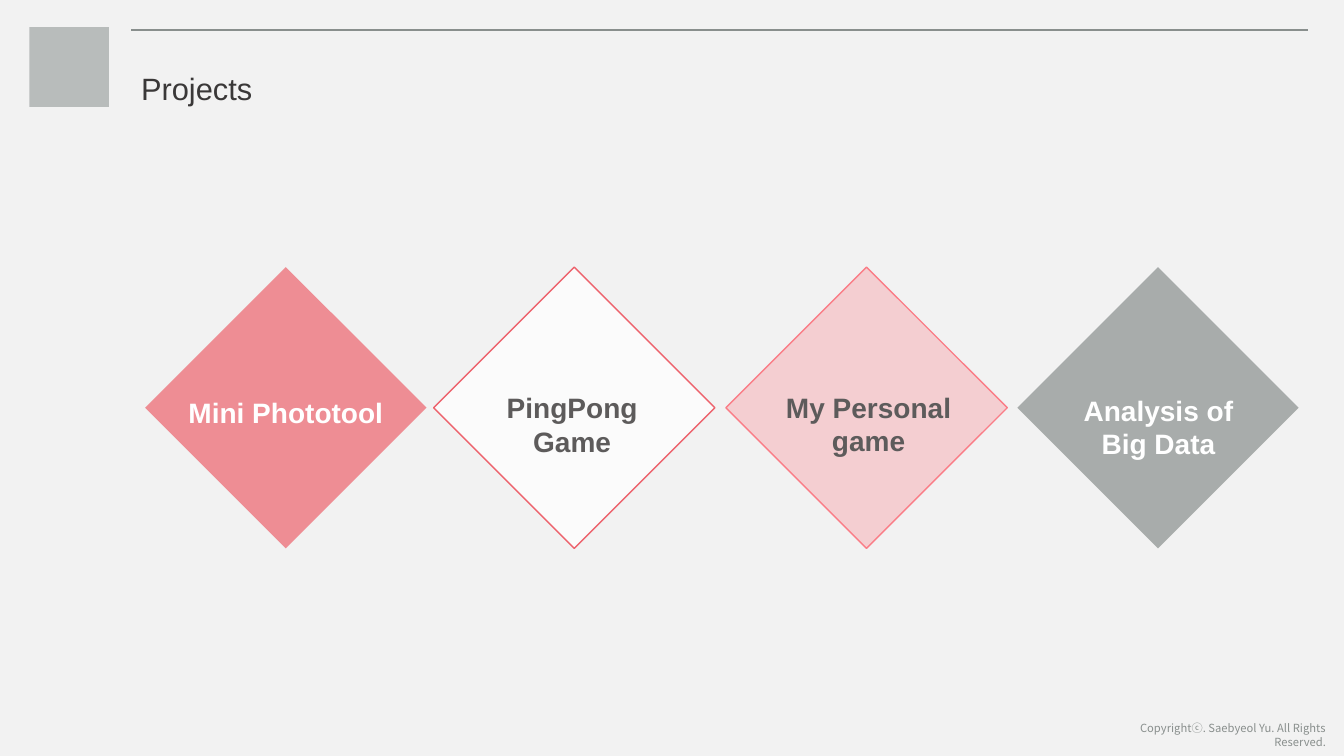
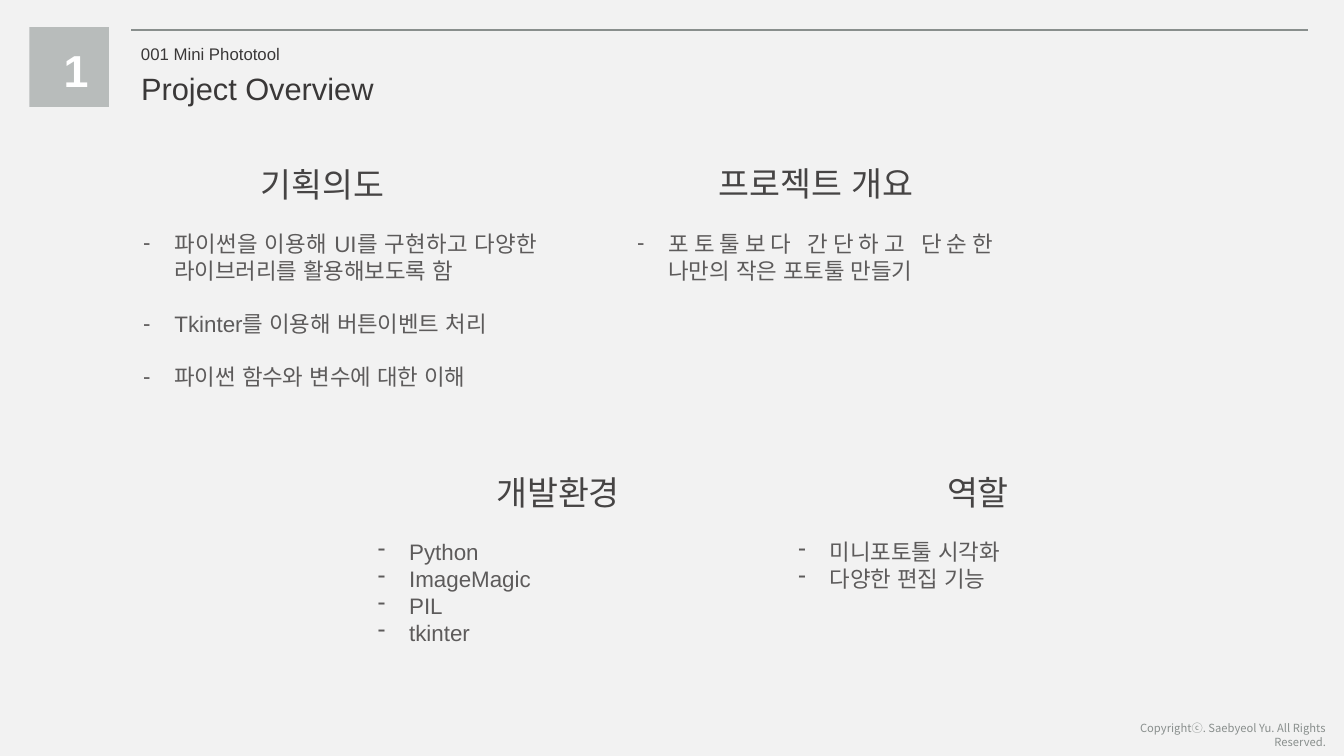
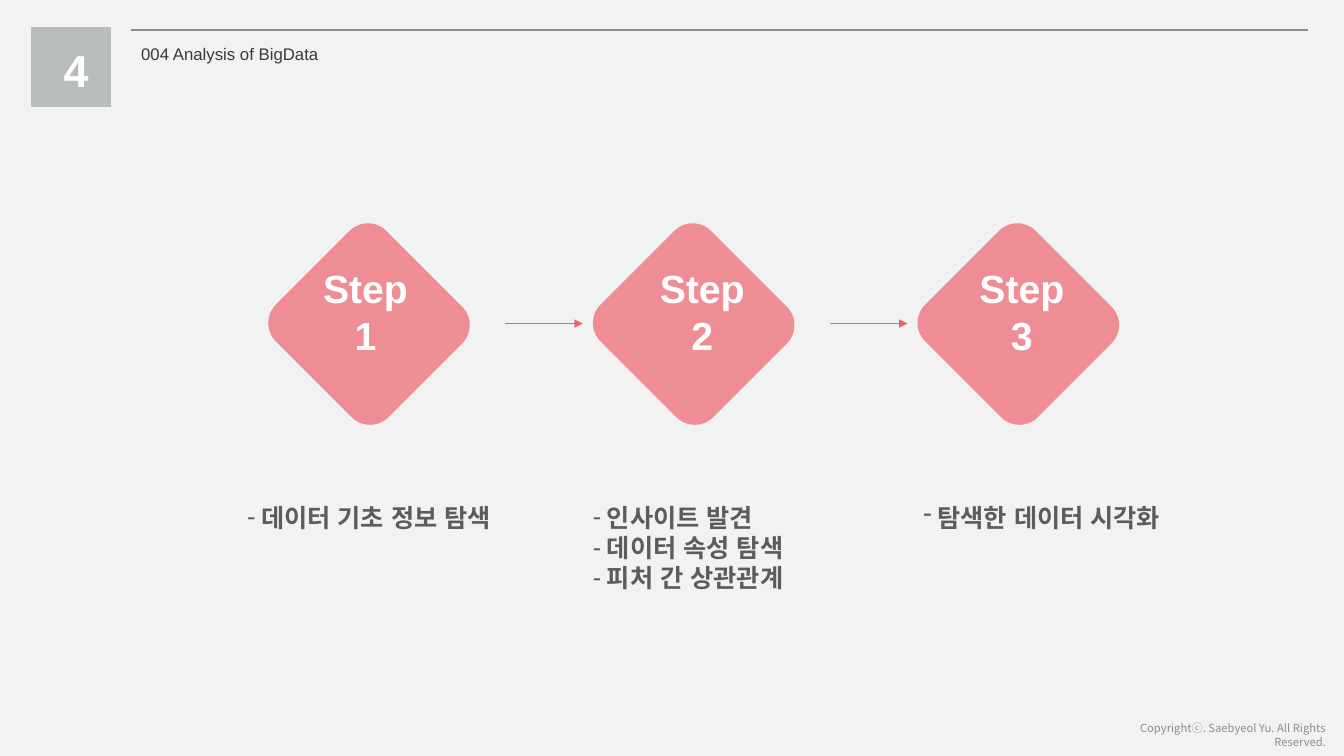
from dataclasses import dataclass
from typing import Iterator, Optional

from lxml import etree
from pptx import Presentation
from pptx.dml.color import RGBColor
from pptx.enum.shapes import MSO_CONNECTOR, MSO_SHAPE
from pptx.enum.text import MSO_ANCHOR, MSO_AUTO_SIZE, PP_ALIGN
from pptx.oxml.ns import qn
from pptx.util import Inches, Pt

LEFT, CENTER, RIGHT, JUSTIFY = (
    PP_ALIGN.LEFT, PP_ALIGN.CENTER, PP_ALIGN.RIGHT, PP_ALIGN.JUSTIFY)
TOP = MSO_ANCHOR.TOP
NO_AUTOFIT = MSO_AUTO_SIZE.NONE
DIAMOND, ROUNDED, RECTANGLE = (
    MSO_SHAPE.DIAMOND, MSO_SHAPE.ROUNDED_RECTANGLE, MSO_SHAPE.RECTANGLE)
STRAIGHT = MSO_CONNECTOR.STRAIGHT

COLORS = {
    "background": "F2F2F2",
    "title": "3A3838",
    "heading": "464444",
    "body": "5D5B5B",
    "gray": "898F8D",
    "badge": "B8BCBB",
    "red": "ED636D",
    "pink": "FA7D87",
    "white": "FFFFFF",
}
FONT = "Arial"
FOOTER_FONT = "Noto Sans CJK KR"
LINE_PITCH = 1.2
TITLE_ONLY, TWO_CONTENT, COMPARISON = 5, 3, 4


@dataclass(frozen=True)
class Box:
    left: float
    top: float
    width: float
    height: float


@dataclass(frozen=True)
class TextStyle:
    size: int
    color: str
    bold: bool = False
    align: PP_ALIGN = LEFT
    font: str = FONT
    wrap: bool = True
    dash_indent: float = 0
    gap: float = 0


@dataclass(frozen=True)
class Project:
    name: str
    diamond_left: float
    label: Box
    fill: str
    opacity: int
    text_color: str
    outline: Optional[str] = None


@dataclass(frozen=True)
class Section:
    heading: str
    heading_box: Box
    items: tuple[str, ...]
    items_box: Box
    gap: float = 0


@dataclass(frozen=True)
class Step:
    label_left: float
    tasks: tuple[str, ...]
    tasks_box: Box


# Shared text styles
TITLE = TextStyle(22, "title")
KICKER = TextStyle(12, "title")
NUMBER = TextStyle(32, "white", bold=True, align=CENTER, wrap=False)
FOOTER = TextStyle(8, "gray", align=RIGHT, font=FOOTER_FONT)
HEADING = TextStyle(24, "heading", align=CENTER, wrap=False)
STEP_LABEL = TextStyle(28, "white", bold=True, align=CENTER)
STEP_TASKS = TextStyle(18, "body", bold=True, align=JUSTIFY, dash_indent=0.14)

TITLE_BOX = Box(1.3, 0.64, 8, 0.47)
KICKER_BOX = Box(1.3, 0.38, 8, 0.3)

# Content
PROJECTS = (
    Project("Mini Phototool", 1.44, Box(1.68, 3.87, 2.31, 0.44), "red", 70, "white"),
    Project("PingPong\nGame", 4.3, Box(4.92, 3.83, 1.51, 0.77), "white", 70,
            "body", "red"),
    Project("My Personal\ngame", 7.2, Box(7.69, 3.82, 1.85, 0.77), "pink", 30,
            "body", "pink"),
    Project("Analysis of\nBig Data", 10.09, Box(10.64, 3.85, 1.7, 0.77), "gray", 70,
            "white"),
)
SECTIONS = (
    Section("기획의도", Box(2.42, 1.58, 1.55, 0.5),
            ("파이썬을 이용해 UI를 구현하고 다양한 라이브러리를 활용해보도록 함",
             "Tkinter를 이용해 버튼이벤트 처리",
             "파이썬 함수와 변수에 대한 이해"),
            Box(1.32, 2.23, 4.11, 2.22), gap=19),
    Section("프로젝트 개요", Box(6.94, 1.57, 2.31, 0.5),
            ("포토툴보다 간단하고 단순한 나만의 작은 포토툴 만들기",),
            Box(6.22, 2.23, 3.73, 1.45)),
    Section("개발환경", Box(4.76, 4.63, 1.55, 0.5),
            ("Python", "ImageMagic", "PIL", "tkinter"),
            Box(3.65, 5.29, 3.73, 1.45)),
    Section("역할", Box(9.26, 4.63, 0.88, 0.5),
            ("미니포토툴 시각화", "다양한 편집 기능"),
            Box(7.82, 5.29, 3.73, 0.64)),
)
STEPS = (
    Step(3.01, ("데이터 기초 정보 탐색",), Box(2.35, 4.93, 2.83, 0.4)),
    Step(6.35, ("인사이트 발견", "데이터 속성 탐색", "피처 간 상관관계"),
         Box(5.78, 4.93, 2.21, 1.01)),
    Step(9.52, ("탐색한 데이터 시각화",), Box(9.06, 4.93, 2.73, 0.71)),
)
STEP_LEFT, STEP_PITCH = 2.87, 3.22
ARROW_LEFT, ARROW_LENGTH, ARROW_Y = 5.01, 0.77, 3.21


def rgb(name: str) -> RGBColor:
    return RGBColor.from_string(COLORS[name])


# Text
def add_run(paragraph, text: str, style: TextStyle) -> None:
    run = paragraph.add_run()
    run.text = text
    run.font.size = Pt(style.size)
    run.font.bold = style.bold
    run.font.color.rgb = rgb(style.color)
    run.font.name = style.font
    east_asian = etree.SubElement(run.font._element, qn("a:ea"))
    east_asian.set("typeface", style.font)


def format_paragraph(paragraph, style: TextStyle, space_before: float) -> None:
    paragraph.alignment = style.align
    paragraph.line_spacing = Pt(round(style.size * LINE_PITCH, 1))
    paragraph.space_before = Pt(space_before)
    paragraph.space_after = Pt(0)
    properties = paragraph._p.get_or_add_pPr()
    properties.set("marL", str(Inches(style.dash_indent)))
    properties.set("indent", str(-Inches(style.dash_indent)))
    if style.dash_indent:
        etree.SubElement(properties, qn("a:buChar")).set("char", "-")
    else:
        etree.SubElement(properties, qn("a:buNone"))


def write_text(holder, box: Box, lines: tuple[str, ...], style: TextStyle) -> None:
    holder.left, holder.top = Inches(box.left), Inches(box.top)
    holder.width, holder.height = Inches(box.width), Inches(box.height)
    frame = holder.text_frame
    frame.auto_size = NO_AUTOFIT
    frame.word_wrap = style.wrap
    frame.vertical_anchor = TOP
    for index, line in enumerate(lines):
        paragraph = frame.add_paragraph() if index else frame.paragraphs[0]
        format_paragraph(paragraph, style, style.gap if index else 0)
        for part_index, part in enumerate(line.split("\n")):
            if part_index:
                paragraph.add_line_break()
            add_run(paragraph, part, style)


def new_text_box(slide):
    return slide.shapes.add_textbox(0, 0, Inches(1), Inches(1))


def add_text(slide, box: Box, text: str, style: TextStyle) -> None:
    write_text(new_text_box(slide), box, (text,), style)


def body_holders(slide) -> Iterator:
    """Yield the body placeholders of the layout, then new text boxes."""
    yield from [p for p in slide.placeholders if p.placeholder_format.idx]
    while True:
        yield new_text_box(slide)


# Shapes and lines
def add_filled(slide, kind: MSO_SHAPE, box: Box, fill: str, opacity: int = 100,
               outline: Optional[str] = None):
    shape = slide.shapes.add_shape(kind, Inches(box.left), Inches(box.top),
                                   Inches(box.width), Inches(box.height))
    shape.shadow.inherit = False
    shape.fill.solid()
    shape.fill.fore_color.rgb = rgb(fill)
    if opacity < 100:
        color = shape._element.spPr.find(qn("a:solidFill"))[0]
        etree.SubElement(color, qn("a:alpha")).set("val", str(opacity * 1000))
    if outline:
        shape.line.color.rgb = rgb(outline)
        shape.line.width = Pt(1)
    else:
        shape.line.fill.background()
    return shape


def add_line(slide, left: float, right: float, y: float, color: str,
             width: float, arrow: bool = False) -> None:
    line = slide.shapes.add_connector(STRAIGHT, Inches(left), Inches(y),
                                      Inches(right), Inches(y))
    line.line.color.rgb = rgb(color)
    line.line.width = Pt(width)
    if arrow:
        tail = etree.SubElement(line.line._get_or_add_ln(), qn("a:tailEnd"))
        tail.set("type", "triangle")
    etree.SubElement(line._element.spPr, qn("a:effectLst"))


# Frame common to all slides
def new_slide(deck, layout: int, title: str, title_box: Box = TITLE_BOX,
              title_style: TextStyle = TITLE, number: str = "",
              badge_left: float = 0.29):
    slide = deck.slides.add_slide(deck.slide_layouts[layout])
    write_text(slide.shapes.title, title_box, (title,), title_style)
    add_text(slide, Box(10.8, 7.11, 2.45, 0.24),
             "Copyrightⓒ. Saebyeol Yu. All Rights Reserved.", FOOTER)
    add_line(slide, 1.3, 12.97, 0.3, "gray", 1.5)
    add_filled(slide, RECTANGLE, Box(badge_left, 0.27, 0.79, 0.79), "badge")
    if number:
        add_text(slide, Box(0.54, 0.37, 0.43, 0.64), number, NUMBER)
    return slide


# Slides
def build_projects(deck) -> None:
    slide = new_slide(deck, TITLE_ONLY, "Projects")
    for project in PROJECTS:
        add_filled(slide, DIAMOND, Box(project.diamond_left, 2.65, 2.79, 2.79),
                   project.fill, project.opacity, project.outline)
        add_text(slide, project.label, project.name,
                 TextStyle(20, project.text_color, bold=True, align=CENTER, wrap=False))


def build_overview(deck) -> None:
    slide = new_slide(deck, COMPARISON, "Project Overview", number="1")
    add_text(slide, KICKER_BOX, "001 Mini Phototool", KICKER)
    holders = body_holders(slide)
    for section in SECTIONS:
        write_text(next(holders), section.heading_box, (section.heading,), HEADING)
        items_style = TextStyle(16, "body", align=JUSTIFY, dash_indent=0.31,
                                gap=section.gap)
        write_text(next(holders), section.items_box, section.items, items_style)


def build_steps(deck) -> None:
    slide = new_slide(deck, TWO_CONTENT, "004 Analysis of BigData", KICKER_BOX,
                      KICKER, number="4", badge_left=0.31)
    holders = body_holders(slide)
    for index, step in enumerate(STEPS):
        offset = index * STEP_PITCH
        tile = add_filled(slide, ROUNDED, Box(STEP_LEFT + offset, 2.44, 1.58, 1.55),
                          "red", 70)
        tile.rotation = 45
        add_text(slide, Box(step.label_left, 2.57, 1.23, 1.04),
                 f"Step\n{index + 1}", STEP_LABEL)
        write_text(next(holders), step.tasks_box, step.tasks, STEP_TASKS)
        if index < len(STEPS) - 1:
            arrow_left = ARROW_LEFT + offset
            add_line(slide, arrow_left, arrow_left + ARROW_LENGTH, ARROW_Y,
                     "red", 0.5, arrow=True)


def main() -> None:
    deck = Presentation()
    deck.slide_width, deck.slide_height = Inches(13.33), Inches(7.5)
    background = deck.slide_master.background.fill
    background.solid()
    background.fore_color.rgb = rgb("background")
    build_projects(deck)
    build_overview(deck)
    build_steps(deck)
    deck.save("out.pptx")


if __name__ == "__main__":
    main()
